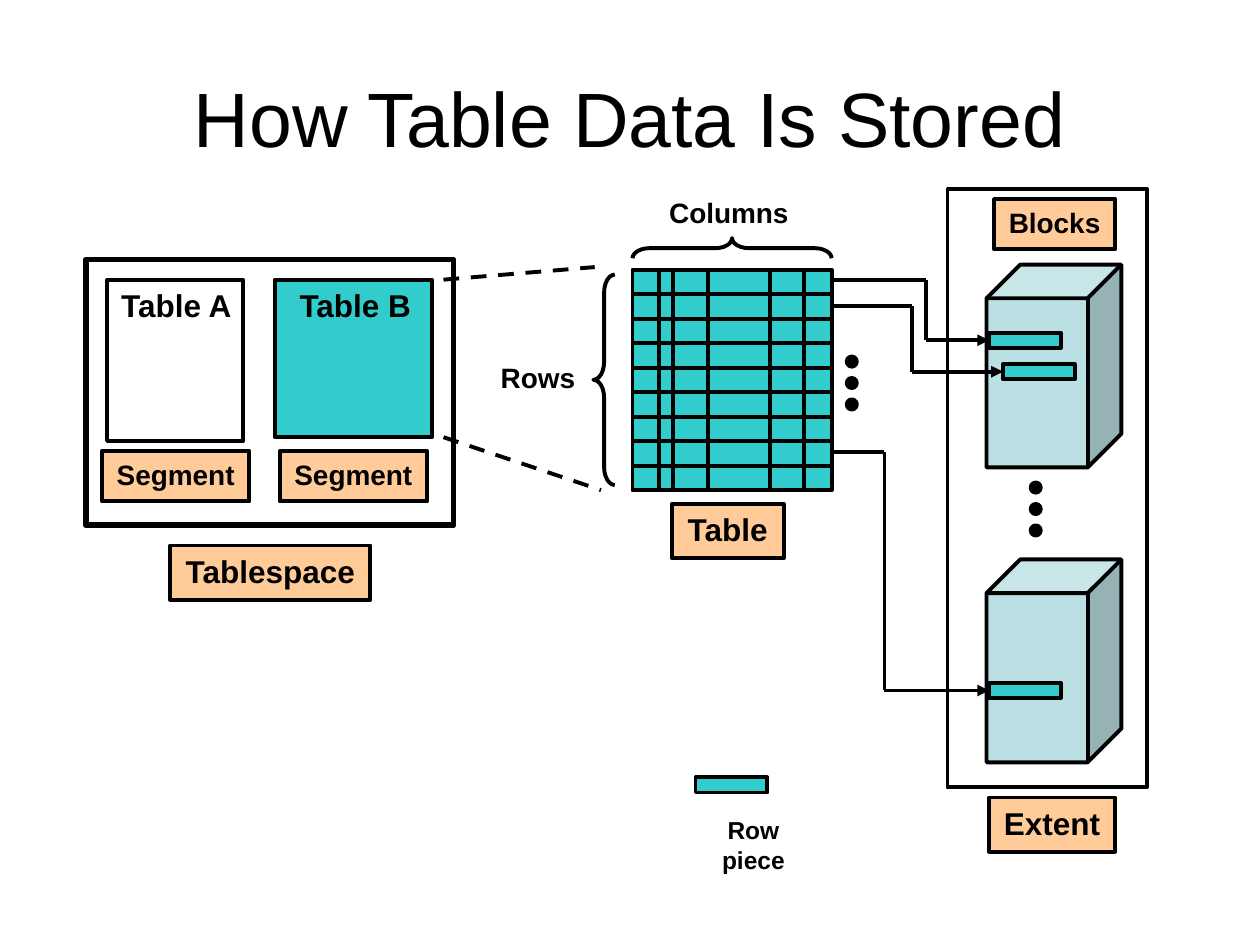
from lxml import etree
from pptx import Presentation
from pptx.dml.color import RGBColor
from pptx.enum.dml import MSO_LINE
from pptx.enum.shapes import MSO_CONNECTOR, MSO_SHAPE
from pptx.enum.text import MSO_ANCHOR, PP_ALIGN
from pptx.oxml.ns import qn
from pptx.util import Inches, Pt

BLACK = RGBColor(0x00, 0x00, 0x00)
TEAL = RGBColor(0x33, 0xCC, 0xCC)
PEACH = RGBColor(0xFF, 0xCC, 0x99)
PALE = RGBColor(0xBB, 0xE0, 0xE3)
RECT, CUBE, DOT = MSO_SHAPE.RECTANGLE, MSO_SHAPE.CUBE, MSO_SHAPE.OVAL
BRACE, STRAIGHT, DASH = MSO_SHAPE.LEFT_BRACE, MSO_CONNECTOR.STRAIGHT, MSO_LINE.DASH
CENTER, TOP, MIDDLE = PP_ALIGN.CENTER, MSO_ANCHOR.TOP, MSO_ANCHOR.MIDDLE
LEFT_SIDE = 1

prs = Presentation()
prs.slide_width, prs.slide_height = Inches(10), Inches(7.5)
slide = prs.slides.add_slide(prs.slide_layouts[5])

# Grid of 100 columns by 75 rows
COL, ROW = prs.slide_width / 100, prs.slide_height / 75


def write(sp, text, size=16, bold=True, anchor=TOP, wrap=False, before=0.2):
    tf = sp.text_frame
    tf.word_wrap = wrap
    tf.vertical_anchor = anchor
    p = tf.paragraphs[0]
    p.alignment = CENTER
    p.space_before = Pt(round(size * before, 1))
    r = p.add_run()
    r.text = text
    r.font.name, r.font.size, r.font.bold = "Arial", Pt(size), bold
    r.font.color.rgb = BLACK


def draw(kind, x, y, a, b, fill=None, width=2.25):
    """Shape of size a by b, or a straight line to the point (a, b)."""
    ends = int(x * COL), int(y * ROW), int(a * COL), int(b * ROW)
    if kind is STRAIGHT:  # the enum values of RECT and STRAIGHT are equal
        sp = slide.shapes.add_connector(kind, *ends)
        etree.SubElement(sp._element.spPr, qn("a:effectLst"))
    else:
        sp = slide.shapes.add_shape(kind, *ends)
        sp.shadow.inherit = False
        if fill is None:
            sp.fill.background()
        else:
            sp.fill.solid()
            sp.fill.fore_color.rgb = fill
    sp.line.color.rgb = BLACK
    sp.line.width = Pt(width)
    return sp


# Title
title = slide.shapes.title
title.left, title.top = int(5 * COL), int(3 * ROW)
title.width, title.height = int(90 * COL), int(12.5 * ROW)
write(title, "How Table Data Is Stored", size=44, bold=False, anchor=MIDDLE,
      wrap=True, before=0)

# Tablespace with its two segments
draw(RECT, 6.8, 20.6, 29.2, 21.1, width=3.25)
draw(RECT, 8.5, 22.2, 10.8, 12.8)
draw(RECT, 21.8, 22.2, 12.5, 12.5, TEAL)

# Table grid: nine equal rows, uneven columns
LEFT, RIGHT, UPPER, LOWER, ROWS = 50.2, 66, 21.4, 38.9, 9
draw(RECT, LEFT, UPPER, RIGHT - LEFT, LOWER - UPPER, TEAL)
for i in range(1, ROWS):
    y = UPPER + i * (LOWER - UPPER) / ROWS
    draw(STRAIGHT, LEFT, y, RIGHT, y)
for x in (52.3, 53.4, 56.2, 61.1, 63.8):
    draw(STRAIGHT, x, UPPER, x, LOWER)

# Dashed zoom lines from Table B to the grid
for x, y, y_from in ((47.2, 21.2, 22.2), (47.7, 38.9, 34.7)):
    draw(STRAIGHT, 35.2, y_from, x, y).line.dash_style = DASH

# Braces for rows and columns
draw(BRACE, 47.1, 21.8, 1.7, 16.7).adjustments[0] = 0.833
brace = draw(BRACE, 57.3, 11.8, 1.6, 15.8)
brace.adjustments[0] = 0.835
brace.rotation = 90

# Extent frame and its blocks
draw(RECT, 75.2, 15, 15.8, 47.5)
for y in (21, 44.4):
    draw(CUBE, 78.3, y, 10.7, 16.1, PALE)

# Row pieces, each reached by a stepped arrow from its table row
PIECE_W, PIECE_H = 5.7, 1.2
for row_y, turn_x, piece_x, piece_y in ((22.2, 73.5, 78.5, 26.4),
                                        (24.3, 72.4, 79.6, 28.9),
                                        (35.9, 70.2, 78.5, 54.2)):
    piece = draw(RECT, piece_x, piece_y, PIECE_W, PIECE_H, TEAL)
    mid_y = piece_y + PIECE_H / 2
    draw(STRAIGHT, RIGHT, row_y, turn_x, row_y)
    draw(STRAIGHT, turn_x, row_y, turn_x, mid_y)
    arrow = draw(STRAIGHT, turn_x, mid_y, piece_x, mid_y)
    arrow.end_connect(piece, LEFT_SIDE)
    etree.SubElement(arrow._element.spPr.find(qn("a:ln")), qn("a:tailEnd"),
                     type="triangle")

# Legend piece
draw(RECT, 55.2, 61.7, PIECE_W, PIECE_H, TEAL)

# Continuation dots
for x, y in ((81.8, 38.3), (67.2, 28.3)):
    for i in range(3):
        draw(DOT, x, y + 1.7 * i, 0.8, 0.8, BLACK)

# Framed labels
for text, x, y, w, h, size in (("Segment", 8.1, 35.8, 11.7, 4, 16),
                               ("Segment", 22.2, 35.8, 11.7, 4, 16),
                               ("Tablespace", 13.5, 43.3, 15.9, 4.3, 18),
                               ("Table", 53.3, 40, 8.9, 4.3, 18),
                               ("Blocks", 78.9, 15.8, 9.6, 4, 16),
                               ("Extent", 78.5, 63.3, 10, 4.3, 18)):
    write(draw(RECT, x, y, w, h, PEACH), text, size=size)

# Plain labels; only the legend's text wraps
for text, x, y, w, h, size, wrap in (("Table A", 8.5, 22.2, 11, 4, 18, False),
                                     ("Table B", 22.7, 22.2, 11, 4, 18, False),
                                     ("Rows", 37.7, 28.1, 10, 3.7, 16, True),
                                     ("Columns", 52.1, 15, 11.5, 3.7, 16, False),
                                     ("Row piece", 54.3, 64.2, 11, 5.6, 14, True)):
    sp = slide.shapes.add_textbox(int(x * COL), int(y * ROW), int(w * COL), int(h * ROW))
    write(sp, text, size=size, wrap=wrap)

prs.save("out.pptx")
